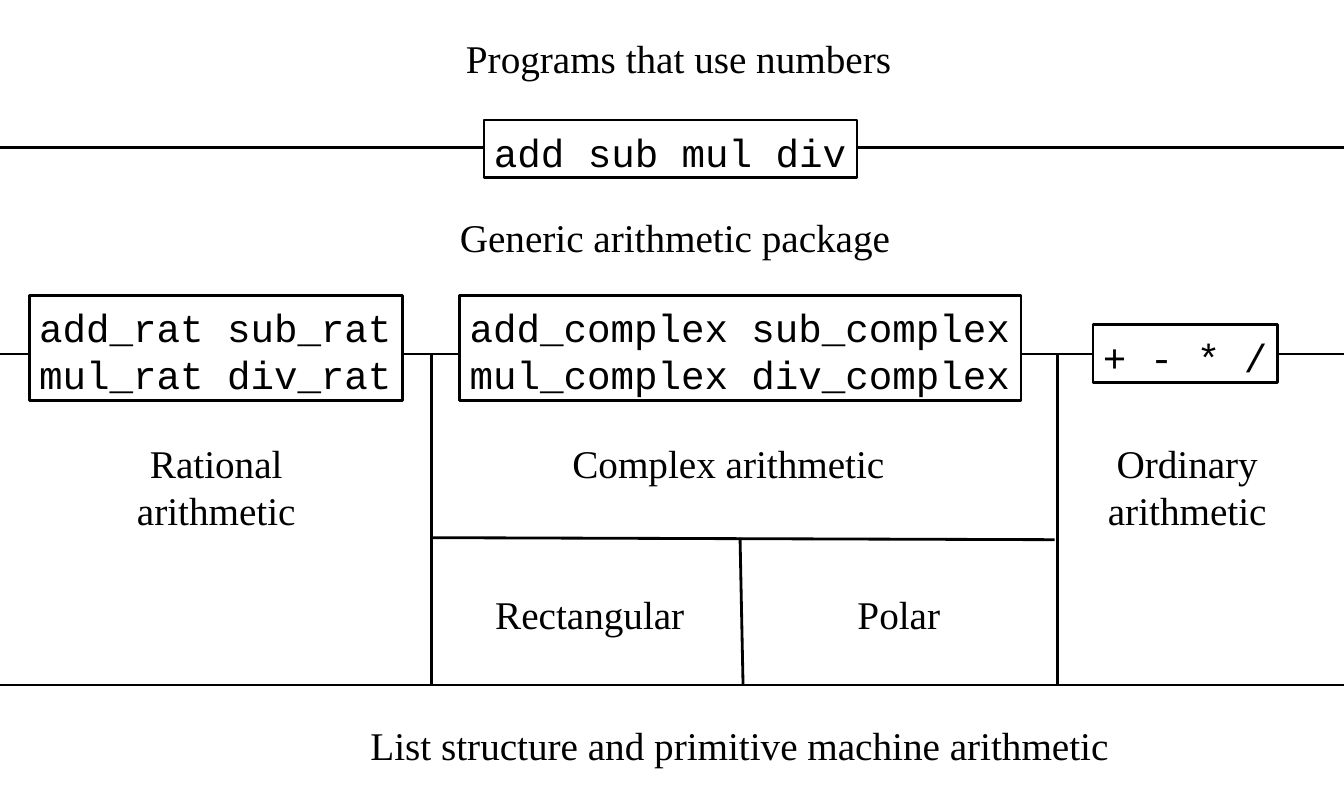
from pptx import Presentation
from pptx import util as u
from pptx.dml.color import RGBColor
from pptx.enum import shapes, text
from lxml import etree

WIDTH, HEIGHT = 13.33, 7.97
COLORS = {"ink": "000000", "paper": "FFFFFF"}
SIZE, LINE_PITCH = 28, 33.6  # points
LINE_H = 0.47
CHAR_W = 0.6 * SIZE / 72  # advance of one monospaced letter
PAD_X, PAD_Y = 0.1, 0.05

# Levels of the system, and the walls between the packages
PROGRAMS, PACKAGES, FORMS, MACHINE = 1.46, 3.51, 5.33, 6.79
RATIONAL_WALL, FORM_WALL, ORDINARY_WALL = 4.28, 7.34, 10.49

# Barriers: start x, start y, end x, end y
BARRIERS = [(0, y, WIDTH, y) for y in (PROGRAMS, PACKAGES, MACHINE)]
BARRIERS += [(x, PACKAGES, x, MACHINE) for x in (RATIONAL_WALL, ORDINARY_WALL)]
BARRIERS += [
    (RATIONAL_WALL, FORMS, 10.46, FORMS + 0.02),
    (FORM_WALL, FORMS, FORM_WALL + 0.03, MACHINE),
]

# Labels: lines, left, top, width
LABELS = [
    (["Programs that use numbers"], 4.5, 0.29, 4.46),
    (["Generic arithmetic package"], 4.44, 2.07, 4.51),
    (["Rational", "arithmetic"], 1.25, 4.31, 1.79),
    (["Complex arithmetic"], 5.56, 4.31, 3.33),
    (["Ordinary", "arithmetic"], 10.88, 4.31, 1.79),
    (["Rectangular"], 4.8, 5.8, 2.1),
    (["Polar"], 8.4, 5.8, 1.03),
    (["List structure and primitive machine arithmetic"], 3.54, 7.1, 7.59),
]

# Operations set into the barriers: lines, left, top
OPERATIONS = [
    (["add sub mul div"], 4.8, 1.19),
    (["add_rat sub_rat", "mul_rat div_rat"], 0.29, 2.93),
    (["add_complex sub_complex", "mul_complex div_complex"], 4.56, 2.93),
    (["+ - * /"], 10.84, 3.22),
]


def color(name):
    return RGBColor.from_string(COLORS[name])


def box_height(lines):
    return len(lines) * LINE_H + 2 * PAD_Y


def write(shape, lines, font, align, drop=0):
    frame = shape.text_frame
    frame.word_wrap = False
    frame.vertical_anchor = text.MSO_ANCHOR.TOP
    frame.margin_left = frame.margin_right = u.Inches(PAD_X)
    frame.margin_top = u.Inches(PAD_Y + drop)
    frame.margin_bottom = u.Inches(PAD_Y - drop)
    for i, line in enumerate(lines):
        paragraph = frame.paragraphs[0] if i == 0 else frame.add_paragraph()
        paragraph.alignment = align
        paragraph.line_spacing = u.Pt(LINE_PITCH)
        run = paragraph.add_run()
        run.text = line
        run.font.name = font
        run.font.size = u.Pt(SIZE)
        run.font.color.rgb = color("ink")


def add_barrier(slide, ends):
    barrier = slide.shapes.add_connector(
        shapes.MSO_CONNECTOR.STRAIGHT, *map(u.Inches, ends))
    barrier.line.color.rgb = color("ink")
    barrier.line.width = u.Pt(2)
    properties = barrier._element.spPr
    etree.SubElement(properties, properties.tag.split("}")[0].replace(
        "presentationml", "drawingml") .replace("2006/main", "2006/main")
        + "}effectLst")


def add_label(slide, lines, left, top, width):
    label = slide.shapes.add_textbox(
        *map(u.Inches, (left, top, width, box_height(lines))))
    write(label, lines, "Times New Roman", text.PP_ALIGN.CENTER)


def add_operations(slide, lines, left, top):
    width = max(map(len, lines)) * CHAR_W + 2 * PAD_X
    box = slide.shapes.add_shape(
        shapes.MSO_SHAPE.RECTANGLE,
        *map(u.Inches, (left, top, width, box_height(lines))))
    box.shadow.inherit = False
    box.fill.solid()
    box.fill.fore_color.rgb = color("paper")
    box.line.color.rgb = color("ink")
    box.line.width = u.Pt(2)
    write(box, lines, "Courier New", text.PP_ALIGN.LEFT, drop=0.03)


def main():
    deck = Presentation()
    deck.slide_width, deck.slide_height = u.Inches(WIDTH), u.Inches(HEIGHT)
    slide = deck.slides.add_slide(deck.slide_layouts[6])
    for ends in BARRIERS:
        add_barrier(slide, ends)
    for label in LABELS:
        add_label(slide, *label)
    for operations in OPERATIONS:
        add_operations(slide, *operations)
    deck.save("out.pptx")


if __name__ == "__main__":
    main()
